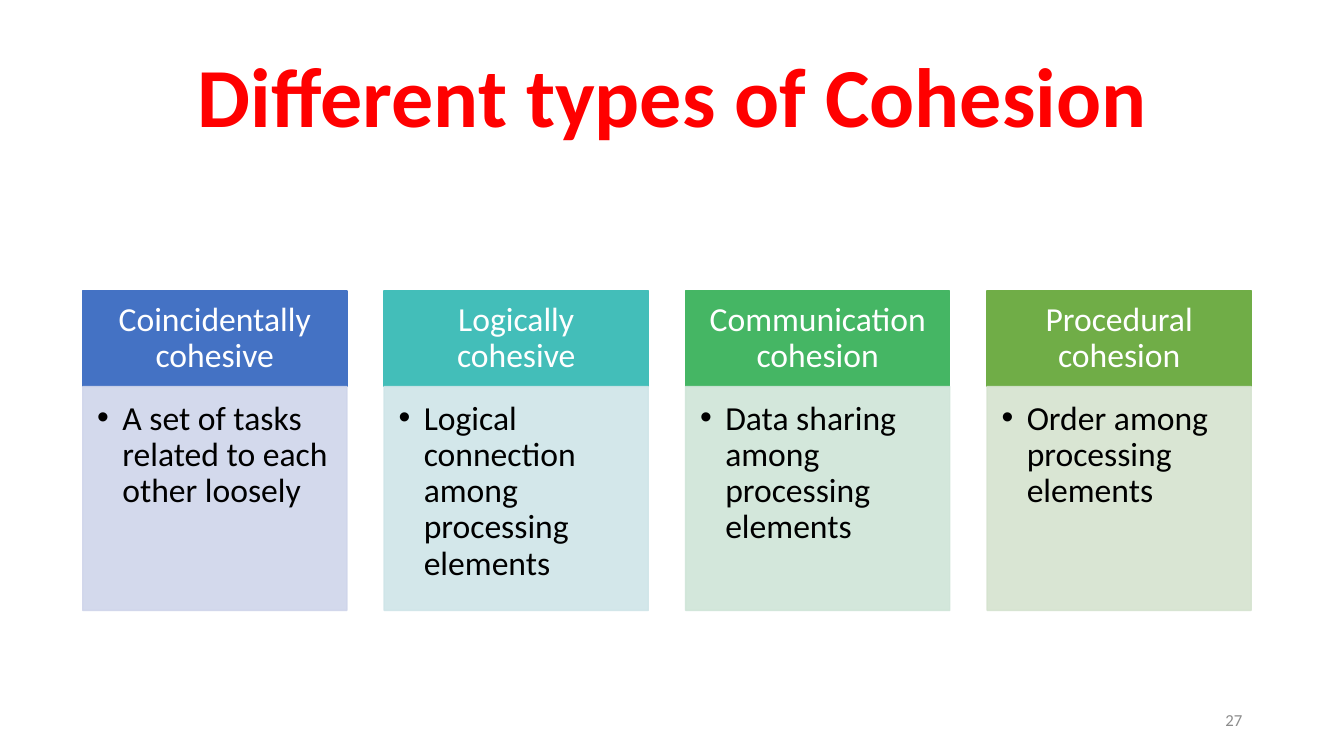
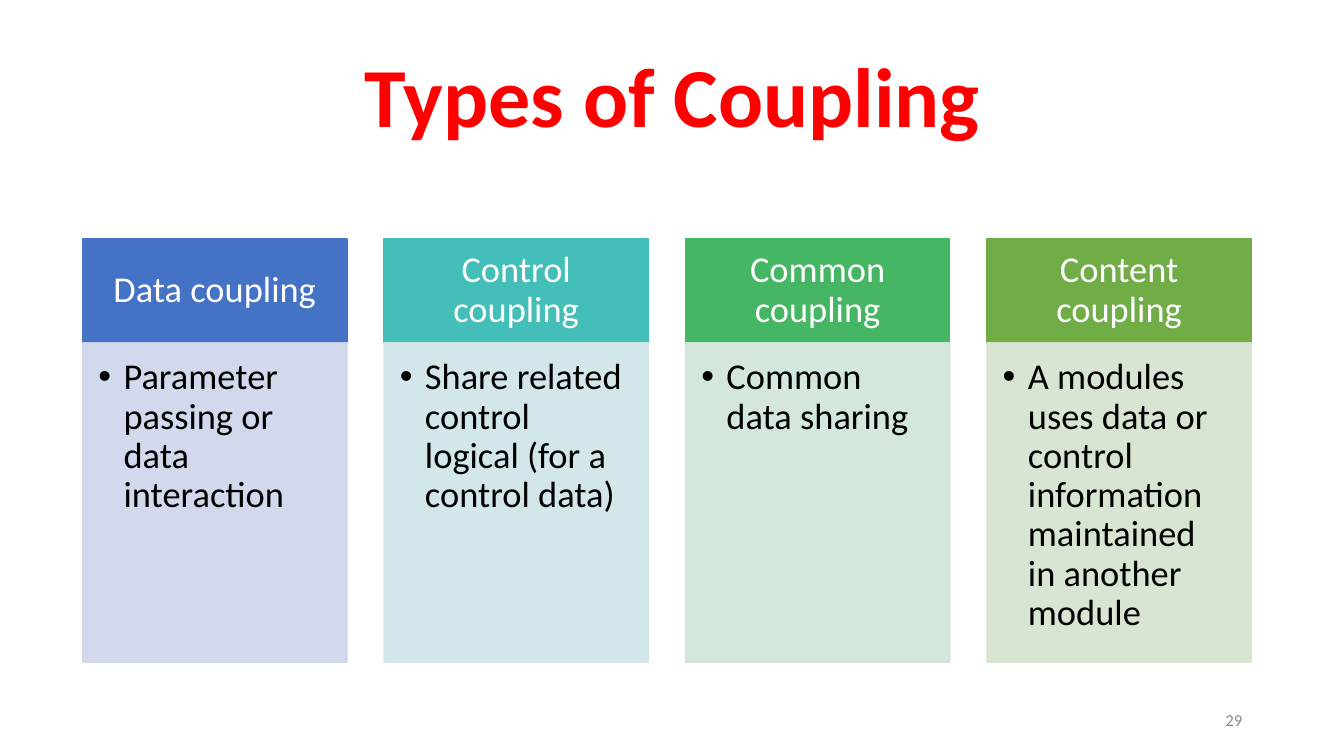
from dataclasses import dataclass

from lxml import etree
from pptx import Presentation
from pptx import util as u
from pptx.dml.color import RGBColor
from pptx.enum import shapes, text
from pptx.oxml import ns


@dataclass(frozen=True)
class Theme:
    font: str = "Calibri"
    title: str = "FF0000"
    head_text: str = "FFFFFF"
    body_text: str = "000000"
    muted: str = "8C8C8C"
    # one (header, panel) pair per column
    columns: tuple = (("4472C4", "CFD5EA"), ("43BEB9", "CFE5E8"),
                      ("45B664", "CFE5D8"), ("70AD47", "D5E3CF"))
    panel_alpha: int = 90
    title_size: int = 60
    number_size: int = 12
    # insets in ems: left, top, right, bottom
    head_insets: tuple = (0.57, 0.33, 0.57, 0.33)
    panel_insets: tuple = (0.43, 0.43, 0.57, 0.64)


@dataclass(frozen=True)
class Grid:
    left: float = 0.82
    width: float = 2.62
    gap: float = 0.37
    middle: float = 4.47

    def column(self, i):
        return self.left + i * (self.width + self.gap)


THEME = Theme()
GRID = Grid()


def inches(*lengths):
    return [u.Inches(n) for n in lengths]


def write(tf, words, size, color, align, bold=False):
    p = tf.paragraphs[0]
    p.alignment = align
    p.line_spacing = 0.9
    r = p.add_run()
    r.text = words
    r.font.name = THEME.font
    r.font.size = u.Pt(size)
    r.font.bold = bold
    r.font.color.rgb = RGBColor.from_string(color)
    return p


def add_bullet(p, indent=0.25):
    pPr = p._p.get_or_add_pPr()
    pPr.set("marL", str(u.Inches(indent)))
    pPr.set("indent", str(-u.Inches(indent)))
    etree.SubElement(pPr, ns.qn("a:buFont")).set("typeface", "Arial")
    etree.SubElement(pPr, ns.qn("a:buChar")).set("char", "•")


def set_alpha(sp, percent):
    """Make the fill and the outline of a shape equally see-through."""
    for color in sp._element.spPr.iter(ns.qn("a:srgbClr")):
        etree.SubElement(color, ns.qn("a:alpha")).set("val", str(percent * 1000))


def add_box(s, box, color, size, insets, anchor):
    """Add a plain rectangle whose text insets grow with the type size."""
    sp = s.shapes.add_shape(shapes.MSO_SHAPE.RECTANGLE, *inches(*box))
    sp.shadow.inherit = False
    sp.fill.solid()
    sp.fill.fore_color.rgb = RGBColor.from_string(color)
    sp.line.color.rgb = RGBColor.from_string(color)
    sp.line.width = u.Pt(1)
    tf = sp.text_frame
    tf.word_wrap = True
    tf.vertical_anchor = anchor
    (tf.margin_left, tf.margin_top,
     tf.margin_right, tf.margin_bottom) = [u.Pt(em * size) for em in insets]
    return sp


def add_title(s, words):
    sp = s.shapes.title
    sp.left, sp.top, sp.width, sp.height = inches(0.92, 0.4, 11.5, 1.19)
    tf = sp.text_frame
    tf.auto_size = text.MSO_AUTO_SIZE.NONE
    tf.vertical_anchor = text.MSO_ANCHOR.MIDDLE
    write(tf, words, THEME.title_size, THEME.title, text.PP_ALIGN.CENTER, bold=True)


def add_number(s, number):
    tf = s.shapes.add_textbox(*inches(9.42, 6.95, 3, 0.4)).text_frame
    tf.word_wrap = True
    tf.vertical_anchor = text.MSO_ANCHOR.MIDDLE
    write(tf, str(number), THEME.number_size, THEME.muted, text.PP_ALIGN.RIGHT)


def add_cards(s, cards, size, head_height, panel_height):
    """Add a row of cards, each a header over a panel, centred on the grid's middle."""
    top = GRID.middle - (head_height + panel_height) / 2
    for i, ((head, body), (dark, pale)) in enumerate(zip(cards, THEME.columns)):
        x = GRID.column(i)
        sp = add_box(s, (x, top, GRID.width, head_height), dark, size,
                     THEME.head_insets, text.MSO_ANCHOR.MIDDLE)
        write(sp.text_frame, head, size, THEME.head_text, text.PP_ALIGN.CENTER)

        sp = add_box(s, (x, top + head_height, GRID.width, panel_height), pale, size,
                     THEME.panel_insets, text.MSO_ANCHOR.TOP)
        set_alpha(sp, THEME.panel_alpha)
        add_bullet(write(sp.text_frame, body, size, THEME.body_text, text.PP_ALIGN.LEFT))


def add_card_slide(prs, title, number, cards, **sizes):
    s = prs.slides.add_slide(prs.slide_layouts.get_by_name("Title Only"))
    add_title(s, title)
    add_cards(s, cards, **sizes)
    add_number(s, number)


def main():
    prs = Presentation()
    prs.slide_width, prs.slide_height = inches(13.33, 7.5)

    add_card_slide(prs, "Different types of Cohesion", 27, [
        ("Coincidentally cohesive", "A set of tasks related to each other loosely"),
        ("Logically cohesive", "Logical connection among processing elements"),
        ("Communication cohesion", "Data sharing among processing elements"),
        ("Procedural cohesion", "Order among processing elements"),
    ], size=24, head_height=0.95, panel_height=2.22)

    add_card_slide(prs, "Types of Coupling", 29, [
        ("Data coupling", "Parameter passing or data interaction"),
        ("Control coupling", "Share related control logical (for a control data)"),
        ("Common coupling", "Common data sharing"),
        ("Content coupling", "A modules uses data or control information "
                             "maintained in another module"),
    ], size=26, head_height=1.03, panel_height=3.17)

    prs.save("out.pptx")


if __name__ == "__main__":
    main()
